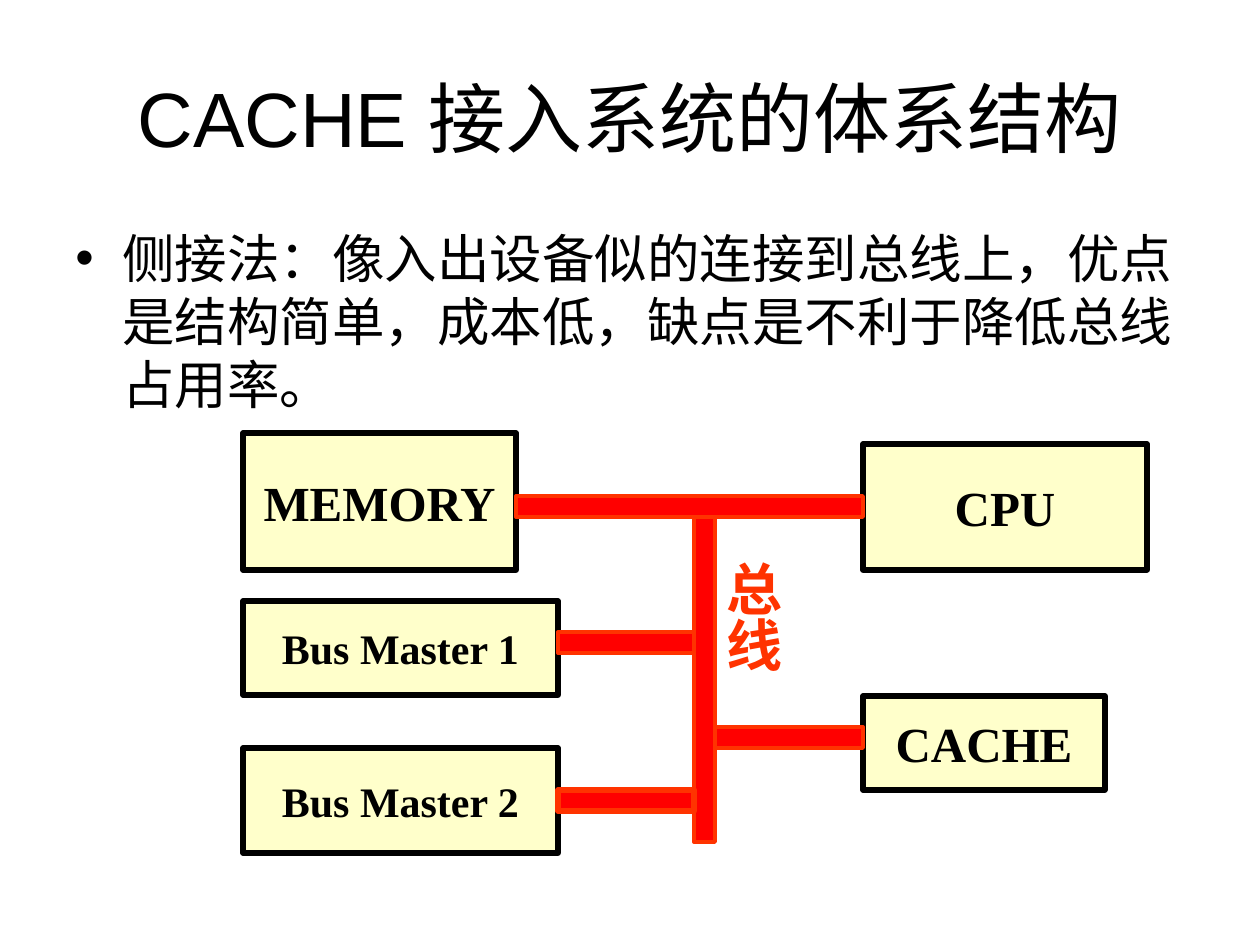
from lxml.etree import SubElement
from pptx import Presentation
from pptx.dml.color import RGBColor
from pptx.enum.shapes import MSO_SHAPE as Shape
from pptx.enum.text import MSO_ANCHOR as Anchor, PP_ALIGN as Align
from pptx.oxml.ns import qn
from pptx.util import Emu, Pt

PX = 914400 / 126  # EMU in one px
COLORS = {"ink": "000000", "box": "FFFF99", "bus": "FF0000", "bus_edge": "FF3300"}
SERIF = "Times New Roman"


def px(*lengths):
    return [Emu(round(length * PX)) for length in lengths]


def color(name):
    return RGBColor.from_string(COLORS[name])


def write(frame, text, size, font="Arial", ink="ink", bold=False,
          align=Align.CENTER, anchor=Anchor.MIDDLE, wrap=True, before=0):
    frame.word_wrap = wrap
    frame.vertical_anchor = anchor
    para = frame.paragraphs[0]
    para.alignment = align
    para.space_before = Pt(before)
    span = para.add_run()
    span.text = text
    span.font.size = Pt(size)
    span.font.name = font
    span.font.bold = bold
    span.font.color.rgb = color(ink)
    return para


class Slide:
    """The current page and the style of its parts."""

    def __init__(self, deck):
        self.page = deck.slides.add_slide(deck.slide_layouts[6])

    def text(self, area, text, size, **style):
        box = self.page.shapes.add_textbox(*px(*area))
        return box.text_frame, write(box.text_frame, text, size, **style)

    def bullet(self, area, text, size, indent):
        para = self.text(area, text, size, align=Align.LEFT,
                         anchor=Anchor.TOP, before=7.5)[1]
        props = para._p.get_or_add_pPr()
        step = px(indent)[0]
        props.set("marL", str(step))
        props.set("indent", str(-step))
        SubElement(props, qn("a:buFont"), typeface="Arial")
        SubElement(props, qn("a:buChar"), char="•")

    def vertical(self, area, text, size, **style):
        frame = self.text(area, text, size, wrap=False, **style)[0]
        frame.margin_left, frame.margin_right = px(6, 6)
        frame.margin_top, frame.margin_bottom = px(13, 13)
        frame._txBody.bodyPr.set("vert", "eaVert")

    def rectangle(self, area, fill, line, width):
        box = self.page.shapes.add_shape(Shape.RECTANGLE, *px(*area))
        box.shadow.inherit = False
        box.fill.solid()
        box.fill.fore_color.rgb = color(fill)
        box.line.color.rgb = color(line)
        box.line.width = Pt(width)
        return box

    def unit(self, area, text, size):
        box = self.rectangle(area, "box", "ink", 3)
        tint = box._element.spPr.find(qn("a:solidFill"))[0]
        SubElement(tint, qn("a:alpha"), val="50000")
        write(box.text_frame, text, size, font=SERIF, bold=True, wrap=False)

    def bus(self, area, width=2.25):
        self.rectangle(area, "bus", "bus_edge", width)


def main():
    deck = Presentation()
    deck.slide_width, deck.slide_height = px(1260, 945)
    slide = Slide(deck)

    # Title and explanation
    slide.text((63, 38, 1134, 157), "CACHE 接入系统的体系结构", 44)
    slide.bullet((63, 220, 1134, 624),
                 "侧接法：像入出设备似的连接到总线上，优点是结构简单，成本低，缺点是不利于降低总线占用率。",
                 30, indent=47)

    # Units on both sides of the bus
    left, right = 243, 863
    for x, y, width, height, name, size in (
        (right, 444, 284, 126, "CPU", 28),
        (left, 433, 273, 137, "MEMORY", 28),
        (right, 696, 242, 94, "CACHE", 28),
        (left, 601, 315, 94, "Bus Master 1", 24),
        (left, 748, 315, 105, "Bus Master 2", 24),
    ):
        slide.unit((x, y, width, height), name, size)

    # Bus: top bar, trunk and branches
    thick, trunk, master_end = 21, 694, 558
    trunk_end = trunk + thick
    slide.bus((516, 496, right - 516, thick))
    slide.bus((trunk, 517, thick, 325))
    slide.bus((master_end, 632, trunk - master_end, thick))
    slide.bus((master_end, 790, trunk - master_end, thick), width=3)
    slide.bus((trunk_end, 727, right - trunk_end, thick))
    slide.vertical((706, 548, 92, 125), "总线", 32, font=SERIF,
                   ink="bus_edge", bold=True, before=20)

    deck.save("out.pptx")


if __name__ == "__main__":
    main()
